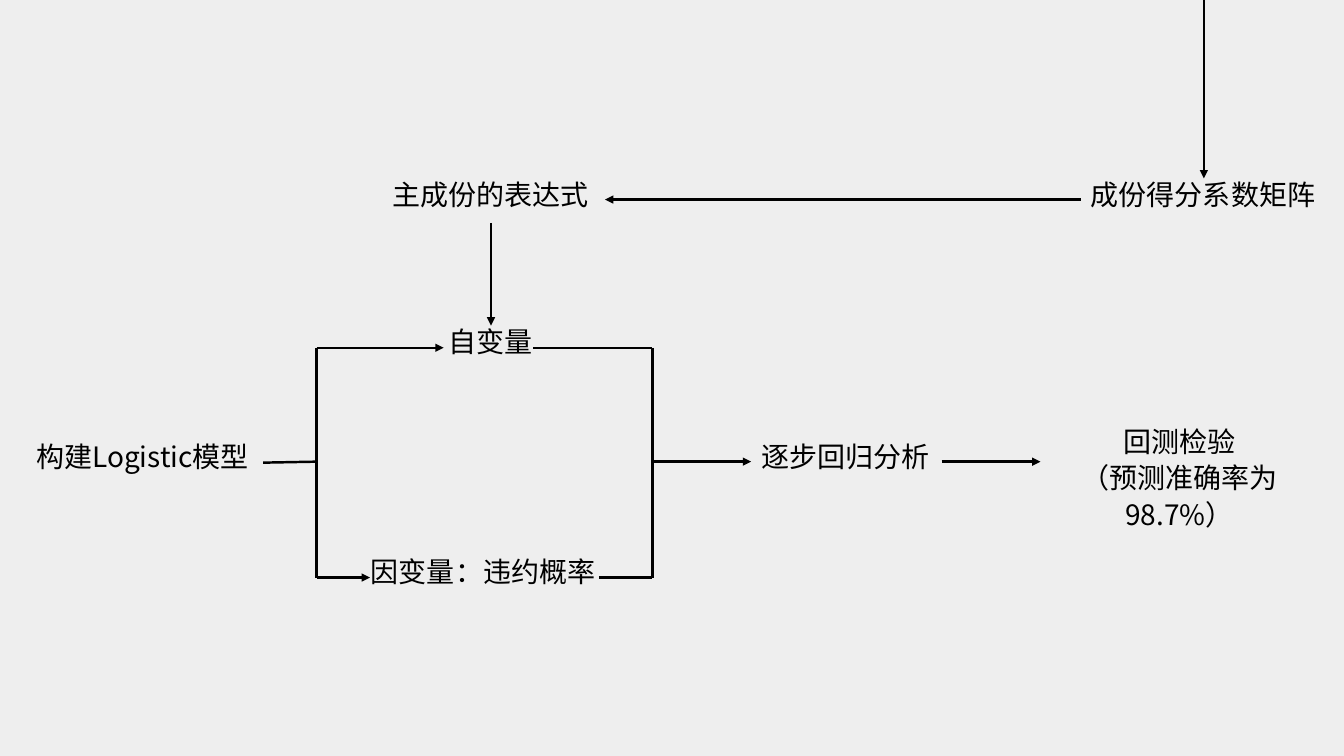
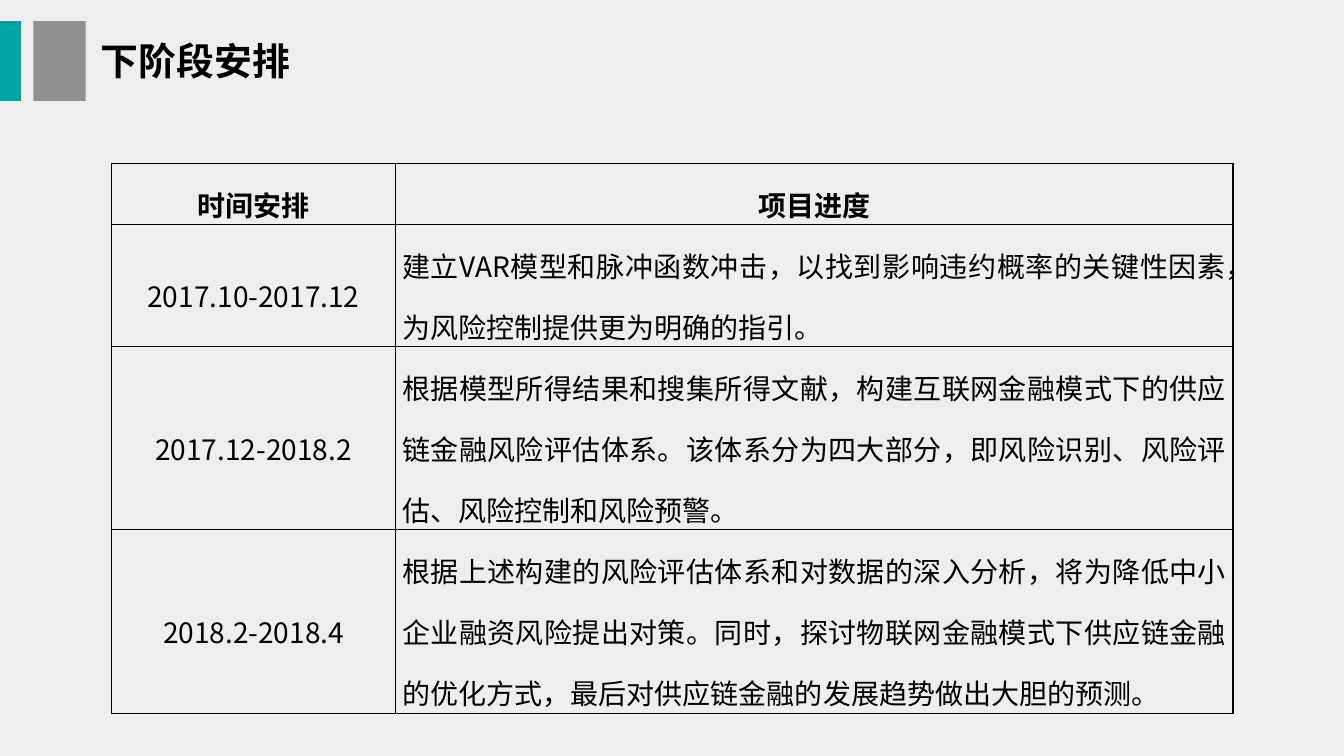
import pptx
import pptx.util
import pptx.dml.color
import pptx.enum.shapes
import pptx.enum.text
import pptx.oxml
import pptx.oxml.ns

Inches = pptx.util.Inches
Pt = pptx.util.Pt
RGBColor = pptx.dml.color.RGBColor
PP_ALIGN = pptx.enum.text.PP_ALIGN
MSO_ANCHOR = pptx.enum.text.MSO_ANCHOR

BLACK = RGBColor(0x00, 0x00, 0x00)
PAPER = RGBColor(0xEE, 0xEE, 0xEE)
TEAL = RGBColor(0x01, 0xA3, 0xA5)
GRAY = RGBColor(0x90, 0x90, 0x90)
FONT = "Noto Sans CJK SC"
NS = pptx.oxml.ns.nsdecls("a")


class Deck:
    def __init__(self):
        self.prs = pptx.Presentation()
        self.prs.slide_width = Inches(13.33)
        self.prs.slide_height = Inches(7.5)
        self.s = None

    def add_slide(self, title=None):
        layout = self.prs.slide_layouts[5 if title else 6]
        self.s = self.prs.slides.add_slide(layout)
        self.s.background.fill.solid()
        self.s.background.fill.fore_color.rgb = PAPER
        if title:
            self.band(0, 0.21, TEAL)
            self.band(0.33, 0.52, GRAY)
            self.title(title)

    def band(self, left, width, color):
        sp = self.s.shapes.add_shape(
            pptx.enum.shapes.MSO_SHAPE.RECTANGLE,
            Inches(left), Inches(0.21), Inches(width), Inches(0.79))
        sp.shadow.inherit = False
        sp.fill.solid()
        sp.fill.fore_color.rgb = color
        sp.line.fill.background()

    def title(self, text):
        sp = self.s.shapes.title
        sp.left, sp.top = Inches(0.9), Inches(0.32)
        sp.width, sp.height = Inches(3.35), Inches(0.56)
        tf = sp.text_frame
        tf.text = text
        tf.vertical_anchor = MSO_ANCHOR.MIDDLE
        self.style(tf, 27, True, PP_ALIGN.LEFT)

    def style(self, tf, size=20, bold=False, align=PP_ALIGN.LEFT, spacing=1.0):
        for p in tf.paragraphs:
            p.alignment = align
            p.line_spacing = spacing
            for r in p.runs:
                r.font.size = Pt(size)
                r.font.bold = bold
                r.font.name = FONT
                r.font.color.rgb = BLACK
                r.font._element.find(pptx.oxml.ns.qn("a:latin")).addnext(
                    pptx.oxml.parse_xml(f'<a:ea {NS} typeface="{FONT}"/>'))

    def label(self, text, left, top, width, height=0.44, wrap=False,
              align=PP_ALIGN.LEFT, spacing=0.82):
        sp = self.s.shapes.add_textbox(
            Inches(left), Inches(top), Inches(width), Inches(height))
        tf = sp.text_frame
        tf.word_wrap = wrap
        tf.text = text
        self.style(tf, align=align, spacing=spacing)

    def line(self, x1, y1, x2, y2, arrow=False):
        cx = self.s.shapes.add_connector(
            pptx.enum.shapes.MSO_CONNECTOR.STRAIGHT,
            Inches(x1), Inches(y1), Inches(x2), Inches(y2))
        cx.line.color.rgb = BLACK
        cx.line.width = Pt(1.75)
        if arrow:
            cx.line._get_or_add_ln().append(
                pptx.oxml.parse_xml(f'<a:tailEnd {NS} type="triangle"/>'))
        cx._element.spPr.append(pptx.oxml.parse_xml(f"<a:effectLst {NS}/>"))

    def table(self, rows, left, top, widths, heights):
        tb = self.s.shapes.add_table(
            len(rows), len(widths), Inches(left), Inches(top),
            Inches(sum(widths)), Inches(sum(heights))).table
        for col, width in zip(tb.columns, widths):
            col.width = Inches(width)
        for i, (texts, height) in enumerate(zip(rows, heights)):
            tb.rows[i].height = Inches(height)
            for j, text in enumerate(texts):
                body = i > 0 and j > 0
                self.cell(tb.cell(i, j), text, i == 0,
                          PP_ALIGN.JUSTIFY if body else PP_ALIGN.CENTER)

    def cell(self, cell, text, bold, align):
        cell.fill.background()
        cell.vertical_anchor = MSO_ANCHOR.MIDDLE
        cell.margin_left = cell.margin_right = Inches(0.07)
        cell.margin_top = cell.margin_bottom = 0
        cell.text_frame.text = text
        self.style(cell.text_frame, bold=bold, align=align, spacing=1.5)
        for p in cell.text_frame.paragraphs:
            p.space_before = p.space_after = Pt(0.2)
        tcPr = cell._tc.get_or_add_tcPr()
        for i, side in enumerate("LRTB"):
            tcPr.insert(i, pptx.oxml.parse_xml(
                f'<a:ln{side} {NS} w="{Pt(1)}"><a:solidFill>'
                f'<a:srgbClr val="{BLACK}"/></a:solidFill></a:ln{side}>'))


def flow_slide(deck):
    deck.add_slide()
    left, right = 3.14, 6.47
    top_y, mid_y, low_y, score_y = 3.45, 4.58, 5.73, 1.98
    for text, x, y, width in [
        ("成份得分系数矩阵", 10.72, 1.77, 2.45),
        ("主成份的表达式", 3.79, 1.77, 2.17),
        ("自变量", 4.35, 3.23, 1.04),
        ("因变量：违约概率", 3.58, 5.51, 2.45),
        ("逐步回归分析", 7.45, 4.37, 1.88),
    ]:
        deck.label(text, x, y, width)
    deck.label("构建Logistic模型", 0.26, 4.37, 2.35, 0.77, wrap=True)
    deck.label("回测检验\n（预测准确率为98.7%）", 10.4, 4.13, 2.6, 1.41,
               wrap=True, align=PP_ALIGN.CENTER, spacing=1.09)

    for ends in [
        (2.61, 4.59, left, mid_y),
        (left, top_y, left, low_y),
        (right, top_y, right, low_y),
        (5.29, top_y, right, top_y),
        (5.94, low_y, right, low_y),
    ]:
        deck.line(*ends)
    for ends in [
        (11.94, 0, 11.94, 1.77),
        (10.72, score_y, 6, score_y),
        (4.87, 2.21, 4.87, 3.23),
        (left, top_y, 4.4, top_y),
        (left, low_y, 3.67, low_y),
        (right, mid_y, 7.45, mid_y),
        (9.34, mid_y, 10.32, mid_y),
    ]:
        deck.line(*ends, arrow=True)


def plan_slide(deck):
    deck.add_slide("下阶段安排")
    rows = [
        ("时间安排", "项目进度"),
        ("2017.10-2017.12",
         "建立VAR模型和脉冲函数冲击，以找到影响违约概率的关键性因素，"
         "为风险控制提供更为明确的指引。"),
        ("2017.12-2018.2",
         "根据模型所得结果和搜集所得文献，构建互联网金融模式下的供应链金融"
         "风险评估体系。该体系分为四大部分，即风险识别、风险评估、"
         "风险控制和风险预警。"),
        ("2018.2-2018.4",
         "根据上述构建的风险评估体系和对数据的深入分析，将为降低中小企业融资"
         "风险提出对策。同时，探讨物联网金融模式下供应链金融的优化方式，"
         "最后对供应链金融的发展趋势做出大胆的预测。"),
    ]
    deck.table(rows, 1.11, 1.62, [2.81, 8.31], [0.6, 1.21, 1.82, 1.82])


def main():
    deck = Deck()
    flow_slide(deck)
    plan_slide(deck)
    deck.prs.save("out.pptx")


if __name__ == "__main__":
    main()
